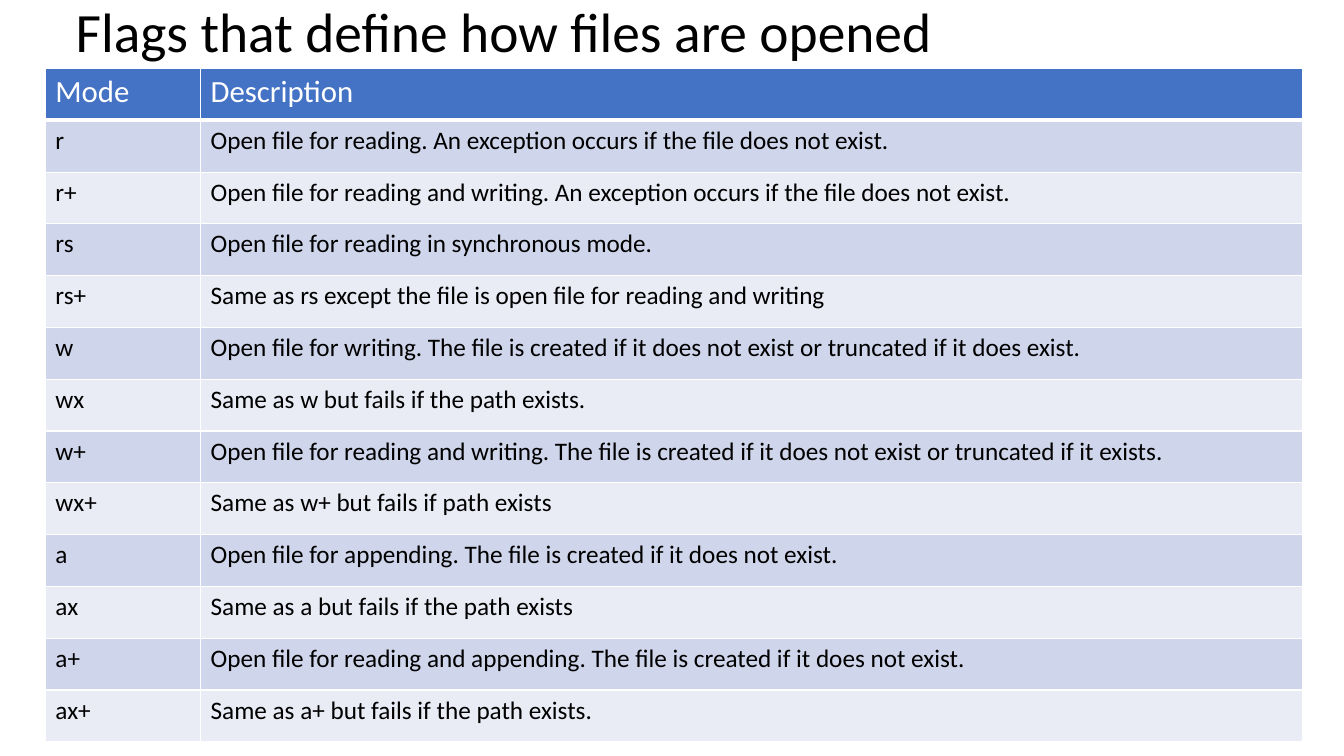
import pptx
import pptx.dml.color
import pptx.enum.text
import pptx.oxml
import pptx.oxml.ns
import pptx.util

COLOURS = {"text": "000000", "white": "FFFFFF", "header": "4472C4",
           "odd": "CFD5EA", "even": "E9EBF5"}
EMU_PER_PX = 9144
FLAGS = [
    ("r", "Open file for reading. An exception occurs if the file does not exist."),
    ("r+", "Open file for reading and writing. An exception occurs if the file does not exist."),
    ("rs", "Open file for reading in synchronous mode."),
    ("rs+", "Same as rs except the file is open file for reading and writing"),
    ("w", "Open file for writing. The file is created if it does not exist or truncated if it does exist."),
    ("wx", "Same as w but fails if the path exists."),
    ("w+", "Open file for reading and writing. The file is created if it does not exist or truncated if it exists."),
    ("wx+", "Same as w+ but fails if path exists"),
    ("a", "Open file for appending. The file is created if it does not exist."),
    ("ax", "Same as a but fails if the path exists"),
    ("a+", "Open file for reading and appending. The file is created if it does not exist."),
    ("ax+", "Same as a+ but fails if the path exists."),
]


def px(length):
    return pptx.util.Emu(length * EMU_PER_PX)


def rgb(name):
    return pptx.dml.color.RGBColor.from_string(COLOURS[name])


class FlagSlide:
    """Holds the style and the current slide, and adds its elements."""

    def __init__(self, deck, font):
        self.slide = deck.slides.add_slide(deck.slide_layouts[5])
        self.font = font

    def style(self, paragraph, size, colour):
        for run in paragraph.runs:
            run.font.name = self.font
            run.font.size = pptx.util.Pt(size)
            run.font.bold = False
            run.font.color.rgb = rgb(colour)

    def title(self, wording, left, top, width, height, size):
        heading = self.slide.shapes.title
        heading.left, heading.top = px(left), px(top)
        heading.width, heading.height = px(width), px(height)
        frame = heading.text_frame
        frame.text = wording
        frame.word_wrap = True
        frame.auto_size = pptx.enum.text.MSO_AUTO_SIZE.NONE
        frame.vertical_anchor = pptx.enum.text.MSO_ANCHOR.MIDDLE
        line = frame.paragraphs[0]
        line.alignment = pptx.enum.text.PP_ALIGN.LEFT
        line.line_spacing = 0.9
        self.style(line, size, "text")

    def borders(self, cell, widths):
        properties = cell._tc.get_or_add_tcPr()
        for side, width in widths.items():
            properties.append(pptx.oxml.parse_xml(
                f'<a:ln{side} {pptx.oxml.ns.nsdecls("a")} w="{pptx.util.Pt(width)}">'
                f'<a:solidFill><a:srgbClr val="{COLOURS["white"]}"/></a:solidFill></a:ln{side}>'))

    def cell(self, cell, wording, size, colour, fill, widths):
        cell.text = wording
        self.style(cell.text_frame.paragraphs[0], size, colour)
        self.borders(cell, widths)
        cell.fill.solid()
        cell.fill.fore_color.rgb = rgb(fill)

    def table(self, header, rows, left, top, widths, height):
        flags = self.slide.shapes.add_table(
            len(rows) + 1, len(widths), px(left), px(top), px(sum(widths)), px(height)).table
        for column, width in zip(flags.columns, widths):
            column.width = px(width)
        for r, row in enumerate([header, *rows]):
            if r == 0:
                size, colour, fill = 22, "white", "header"
            else:
                size, colour, fill = 18, "text", "odd" if r % 2 else "even"
            edges = {"L": 1, "R": 1, "T": 3 if r == 1 else 1, "B": 3 if r == 0 else 1}
            for c, wording in enumerate(row):
                self.cell(flags.cell(r, c), wording, size, colour, fill, edges)


def main():
    deck = pptx.Presentation()
    deck.slide_width, deck.slide_height = px(1333), px(750)
    page = FlagSlide(deck, "Calibri")
    page.title("Flags that define how files are opened", 65, 0, 1177, 68, 39.6)
    page.table(("Mode", "Description"), FLAGS, 45, 68, (154, 1093), 668)
    deck.save("out.pptx")


if __name__ == "__main__":
    main()
